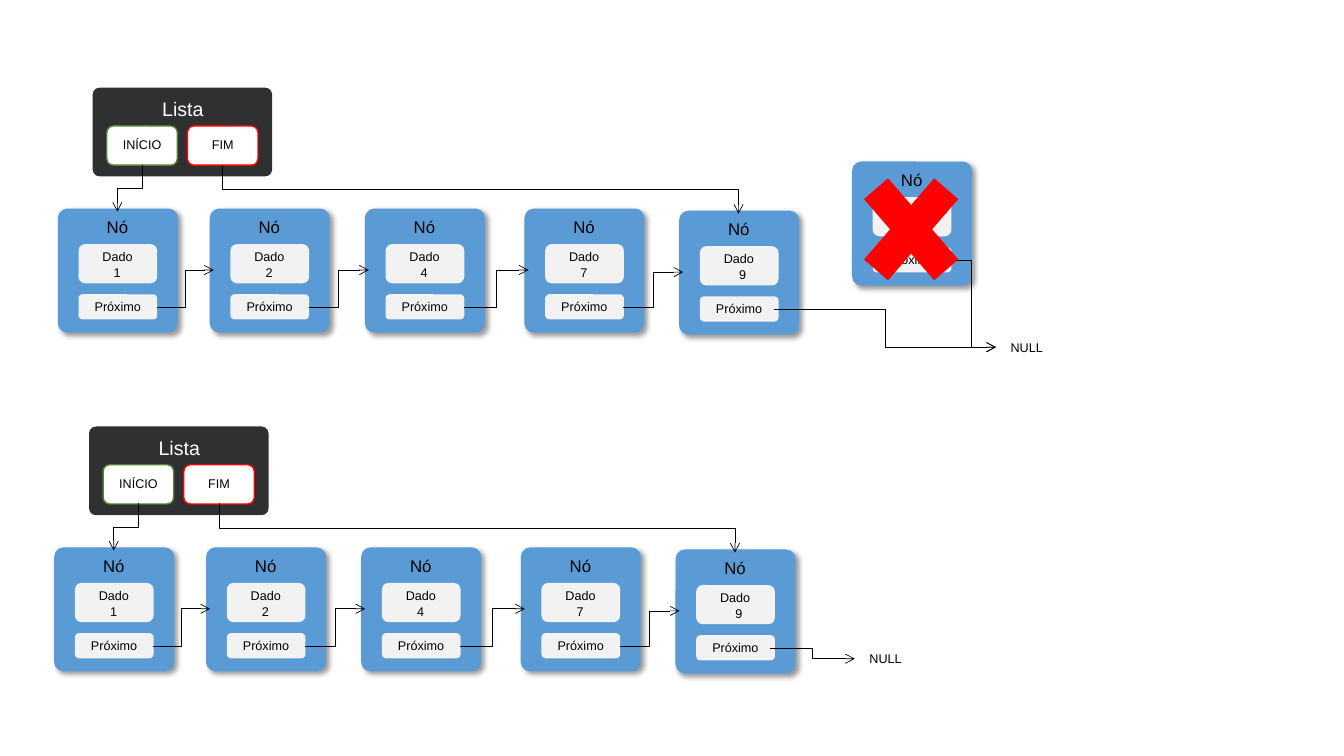
from dataclasses import dataclass
from itertools import pairwise

from lxml.etree import SubElement
from pptx import Presentation
from pptx.dml.color import RGBColor as Rgb
from pptx.enum.shapes import MSO_CONNECTOR as Link, MSO_SHAPE as Kind
from pptx.enum.text import MSO_AUTO_SIZE as Fit, PP_ALIGN as Align
from pptx.oxml.ns import qn
from pptx.util import Pt


@dataclass(frozen=True)
class Theme:
    face: str = "Arial"
    ink: str = "000000"
    paper: str = "FFFFFF"
    node: str = "5B9BD5"
    field: str = "F2F2F2"
    head: str = "2F3031"
    start: str = "548235"
    end: str = "FF0000"
    small: int = 9
    title: int = 12
    large: int = 14
    round: float = 0.078
    thin: float = 0.5


def apply(target, values):
    for name, value in values.items():
        setattr(target, name, value)


class Board:
    def __init__(self, slide, theme):
        self.slide, self.theme = slide, theme
        self.home = slide.shapes

    def group(self):
        """Send the shapes and labels that follow into a new group."""
        self.home = self.slide.shapes.add_group_shape().shapes

    def ungroup(self):
        self.home = self.slide.shapes

    def shape(self, kind, x, y, w, h, fill, edge=None, curve=None):
        item = self.home.add_shape(kind, Pt(x), Pt(y), Pt(w), Pt(h))
        item.shadow.inherit = False
        item.fill.solid()
        item.fill.fore_color.rgb = Rgb.from_string(fill)
        if edge:
            item.line.color.rgb = Rgb.from_string(edge)
            item.line.width = Pt(1)
        else:
            item.line.fill.background()
        if curve:
            item.adjustments[0] = curve
        return item

    def box(self, *place, **look):
        return self.shape(Kind.ROUNDED_RECTANGLE, *place, **look)

    def shade(self, item):
        effects = item.element.spPr.find(qn("a:effectLst"))
        drop = SubElement(effects, qn("a:outerShdw"), blurRad=str(Pt(4)), dist=str(Pt(3)),
                          dir="2700000", algn="tl", rotWithShape="0")
        tint = SubElement(drop, qn("a:srgbClr"), val=self.theme.ink)
        SubElement(tint, qn("a:alpha"), val="40000")

    def label(self, text, x, y, w, h=18, size=None, color=None):
        frame = self.home.add_textbox(Pt(x), Pt(y), Pt(w), Pt(h)).text_frame
        apply(frame, {"word_wrap": True, "auto_size": Fit.SHAPE_TO_FIT_TEXT})
        line = frame.paragraphs[0]
        line.alignment = Align.CENTER
        run = line.add_run()
        run.text = text
        apply(run.font, {"name": self.theme.face, "size": Pt(size or self.theme.small)})
        run.font.color.rgb = Rgb.from_string(color or self.theme.ink)

    def arrow(self, start, end, down=False):
        """Draw an elbow arrow; with down, it leaves its start vertically."""
        (x1, y1), (x2, y2) = start, end
        if down:
            # A quarter turn about the centre swaps the two spans.
            cx, cy, dx, dy = (x1 + x2) / 2, (y1 + y2) / 2, x2 - x1, y2 - y1
            x1, y1, x2, y2 = cx - dy / 2, cy + dx / 2, cx + dy / 2, cy - dx / 2
        item = self.slide.shapes.add_connector(Link.ELBOW, Pt(x1), Pt(y1), Pt(x2), Pt(y2))
        if down:
            item.rotation = 90
        item.line.color.rgb = Rgb.from_string(self.theme.ink)
        item.line.width = Pt(self.theme.thin)
        props = item.element.spPr
        SubElement(props.find(qn("a:ln")), qn("a:tailEnd"), type="arrow")
        SubElement(props, qn("a:effectLst"))

    def node(self, x, y, value=None, wide=19.4):
        look = self.theme
        self.group()
        self.shade(self.box(x, y, 85.7, 88.6, fill=look.node, curve=look.round))
        self.label("Nó", x + 27.1, y + 2.2, 31, 21.6, look.title)
        self.box(x + 14.8, y + 61.2, 56.2, 18, fill=look.field)
        self.label("Próximo", x + 17.6, y + 61.2, 50.4)
        self.box(x + 14.8, y + 25.4, 56.2, 28, fill=look.field)
        if value:
            self.label("Dado", x + 23.2, y + 25.4, 38.9)
            self.label(value, x + 32.7, y + 36.7, wide)
        self.ungroup()

    def head(self, x, y):
        """Draw the list header and return where its two arrows start."""
        look = self.theme
        self.group()
        self.box(x, y, 128.2, 63.4, fill=look.head, curve=look.round)
        for text, left, edge in (("FIM", x + 67.7, look.end), ("INÍCIO", x + 10.1, look.start)):
            self.box(left, y + 27.4, 50.4, 28, fill=look.paper, edge=edge)
            self.label(text, left + 2.5, y + 31.7, 45.4)
        self.label("Lista", x + 39.6, y + 2.9, 49.7, 24.5, look.large, look.paper)
        self.ungroup()
        return (x + 35.3, y + 55), (x + 92.9, y + 55)

    def chain(self, dx, dy, null):
        """Draw a linked list moved by dx, dy, whose last node points to null."""
        first, last = self.head(66.2 + dx, 62.6 + dy)
        spots = [(x + dx, 149 + dy) for x in (41.3, 149.8, 260.6, 374.6)]
        spots.append((485.1 + dx, 150.5 + dy))
        for (x, y), value in zip(spots, "12479"):
            self.node(x, y, value, 25.2 if value == "9" else 19.4)
        for start, (x, y) in ((first, spots[0]), (last, spots[-1])):
            self.arrow(start, (x + 42.5, y + 2.2), down=True)
        for (x1, y1), (x2, y2) in pairwise(spots):
            self.arrow((x1 + 70.6, y1 + 70.6), (x2 + 2.9, y2 + 43.9))
        x, y = spots[-1]
        self.label("NULL", *null, 43.9)
        self.arrow((x + 67.7, y + 70.6), (null[0], null[1] + 9))


def main():
    deck = Presentation()
    apply(deck, {"slide_width": Pt(960), "slide_height": Pt(540)})
    theme = Theme()
    board = Board(deck.slides.add_slide(deck.slide_layouts[6]), theme)

    null = (711.4, 239)
    board.chain(0, 0, null)
    board.node(608.6, 115.4)
    board.arrow((676.6, 186), (null[0], null[1] + 9))
    board.shape(Kind.MATH_MULTIPLY, 602.6, 108, 96.5, 111.6, fill=theme.end)

    board.chain(-2.6, 242, (610.6, 461.5))
    deck.save("out.pptx")


if __name__ == "__main__":
    main()
